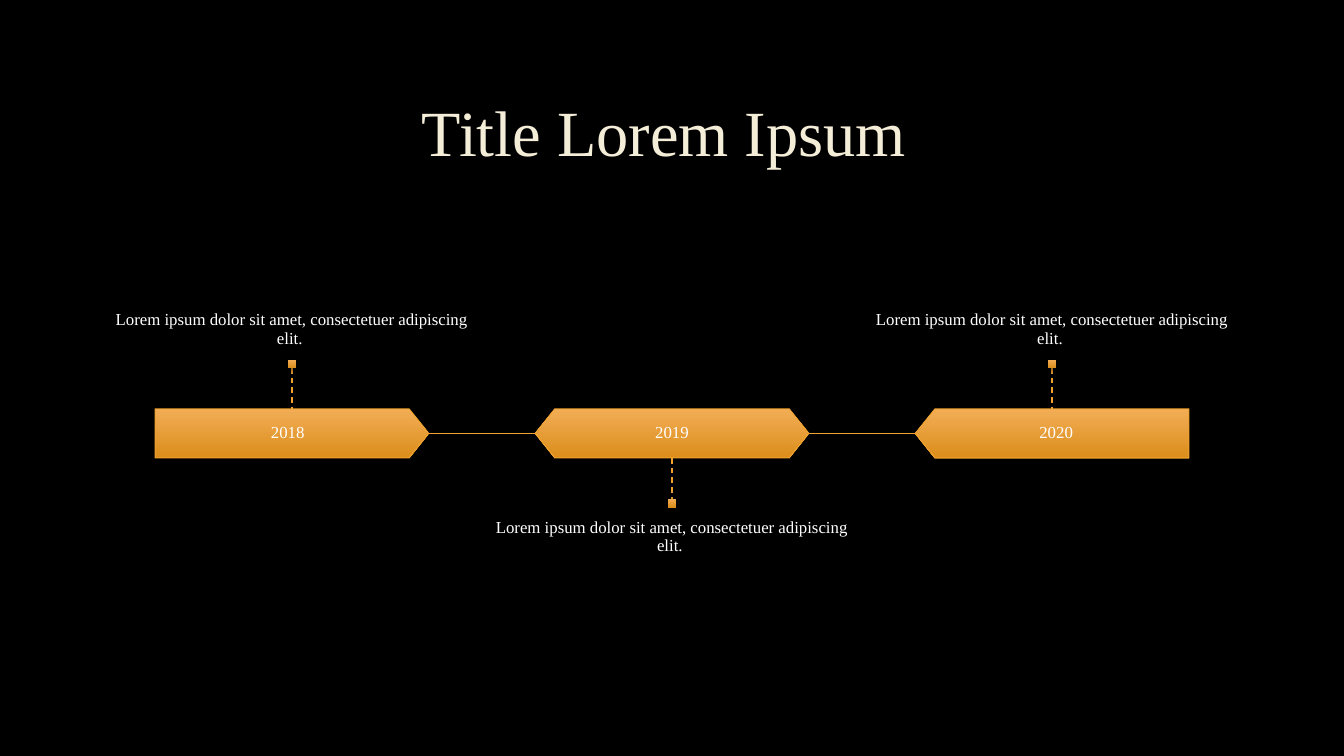
from dataclasses import dataclass

from lxml.etree import SubElement
from pptx import Presentation
from pptx.dml.color import RGBColor
from pptx.enum.dml import MSO_LINE
from pptx.enum.shapes import MSO_CONNECTOR, MSO_SHAPE
from pptx.enum.text import MSO_ANCHOR, PP_ALIGN
from pptx.oxml import parse_xml
from pptx.oxml.ns import nsdecls, qn
from pptx.util import Inches, Pt


@dataclass(frozen=True)
class Theme:
    """Colours, font and type sizes of the slide."""
    ground: str = "000000"
    title: str = "F4EDD8"
    text: str = "FFFFFF"
    accent: str = "F0A22E"
    gradient: tuple = ("F2AD56", "DB8E1B")
    outline: str = "404040"
    font: str = "Times New Roman"
    title_size: float = 46
    text_size: float = 12


@dataclass(frozen=True)
class Box:
    """A rectangle in inches."""
    left: float
    top: float
    width: float
    height: float

    def inner(self, left, top, width, height):
        """Return the inner box given as shares of this one."""
        return Box(self.left + left * self.width, self.top + top * self.height,
                   width * self.width, height * self.height)

    def emu(self):
        """Return the four lengths for python-pptx."""
        return [Inches(n) for n in (self.left, self.top, self.width, self.height)]


THEME = Theme()
SLIDE = Box(0, 0, 13.33, 7.5)
BLURB = "Lorem ipsum dolor sit amet, consectetuer adipiscing elit. "
ARROW_SHARE = 0.72
WIDE_LABEL = 0.97
MILESTONES = [
    ("2018", MSO_SHAPE.PENTAGON, 0, (0, 0, WIDE_LABEL, 1), True),
    ("2019", MSO_SHAPE.HEXAGON, 0, (0.11, 0.1, 0.78, 0.78), False),
    ("2020", MSO_SHAPE.PENTAGON, 180, (1 - WIDE_LABEL, 0, WIDE_LABEL, 1), True),
]


def colour(value):
    """Turn a hex string into a colour."""
    return RGBColor.from_string(value)


def add_text(page, box, words, size, tint, anchor, insets):
    """Add one centred paragraph and return its run."""
    shape = page.shapes.add_textbox(*box.emu())
    frame = shape.text_frame
    frame.word_wrap = True
    frame.vertical_anchor = anchor
    frame.margin_left = frame.margin_right = Inches(insets[0])
    frame.margin_top = frame.margin_bottom = Inches(insets[1])
    para = frame.paragraphs[0]
    para.alignment = PP_ALIGN.CENTER
    para.line_spacing = 0.9
    span = para.add_run()
    span.text = words
    span.font.name = THEME.font
    span.font.size = Pt(size)
    span.font.color.rgb = colour(tint)
    return span


def add_golden_shape(page, box, kind):
    """Add a preset shape with the golden gradient and a soft shadow."""
    shape = page.shapes.add_shape(kind, *box.emu())
    shape.fill.gradient()
    shape.fill.gradient_angle = 270
    for stop, tint in zip(shape.fill.gradient_stops, THEME.gradient):
        stop.color.rgb = colour(tint)
    properties = shape.element.spPr
    properties.find(qn("a:gradFill")).set("rotWithShape", "0")
    shape.line.fill.background()
    shape.shadow.inherit = False
    properties.find(qn("a:effectLst")).append(parse_xml(
        f'<a:outerShdw {nsdecls("a")} blurRad="{Pt(5)}" dist="{Pt(2)}" dir="5400000" '
        'rotWithShape="0"><a:srgbClr val="000000"><a:alpha val="60000"/></a:srgbClr>'
        '</a:outerShdw>'))
    return shape


def add_rule(page, start, end, width, dash=None):
    """Add a straight accent line between two points."""
    points = [Inches(n) for n in (*start, *end)]
    rule = page.shapes.add_connector(MSO_CONNECTOR.STRAIGHT, *points)
    rule.line.color.rgb = colour(THEME.accent)
    rule.line.width = Pt(width)
    if dash:
        rule.line.dash_style = dash
    SubElement(rule.element.spPr, qn("a:effectLst"))


def add_title(page, box):
    """Add the slide title with its faint outline."""
    span = add_text(page, box, "Title Lorem Ipsum ", THEME.title_size, THEME.title,
                    MSO_ANCHOR.MIDDLE, (0.1, 0.05))
    span._r.get_or_add_rPr().insert(0, parse_xml(
        f'<a:ln {nsdecls("a")} w="{Pt(0.75)}"><a:solidFill><a:srgbClr val="{THEME.outline}">'
        '<a:alpha val="10000"/></a:srgbClr></a:solidFill></a:ln>'))


def add_callout(page, lane, above):
    """Add the stem, marker and blurb above or below the lane's arrow."""
    callout_top, marker_top, stem_top = (0, 0.32, 0.34) if above else (0.68, 0.66, 0.56)
    add_text(page, lane.inner(0, callout_top, 1, 0.32), BLURB, THEME.text_size, THEME.text,
             MSO_ANCHOR.BOTTOM if above else MSO_ANCHOR.TOP, (0, 0.12))
    stem = lane.inner(0.5, stem_top, 0, 0.1)
    add_rule(page, (stem.left, stem.top), (stem.left, stem.top + stem.height),
             1, MSO_LINE.DASH)
    row = lane.inner(0.5, marker_top, 0, 0.02)
    side = row.height
    add_golden_shape(page, Box(row.left - side / 2, row.top, side, side), MSO_SHAPE.RECTANGLE)


def add_milestone(page, lane, year, kind, turn, label, above):
    """Add one year arrow with its label and callout."""
    box = lane.inner((1 - ARROW_SHARE) / 2, 0.44, ARROW_SHARE, 0.12)
    arrow = add_golden_shape(page, box, kind)
    arrow.adjustments[0] = 0.4
    arrow.rotation = turn
    arrow.line.color.rgb = colour(THEME.accent)
    arrow.line.width = Pt(0.75)
    add_text(page, box.inner(*label), year, THEME.text_size, THEME.text,
             MSO_ANCHOR.MIDDLE, (0.1, 0.1))
    add_callout(page, lane, above)


def add_timeline(page, box):
    """Add the milestones in equal lanes, joined by links."""
    share = 1 / len(MILESTONES)
    for index, milestone in enumerate(MILESTONES):
        lane = box.inner(index * share, 0, share, 1)
        add_milestone(page, lane, *milestone)
        if index:
            link = lane.inner((ARROW_SHARE - 1) / 2, 0.5, 1 - ARROW_SHARE, 0)
            add_rule(page, (link.left, link.top), (link.left + link.width, link.top), 0.75)


def main():
    """Build and save the deck."""
    deck = Presentation()
    deck.slide_width, deck.slide_height = Inches(SLIDE.width), Inches(SLIDE.height)
    page = deck.slides.add_slide(deck.slide_layouts[6])
    page.background.fill.solid()
    page.background.fill.fore_color.rgb = colour(THEME.ground)
    add_title(page, SLIDE.inner(0.075, 0.09, 0.85, 0.18))
    add_timeline(page, Box(1.01, 2.27, 11.31, 4.06))
    deck.save("out.pptx")


if __name__ == "__main__":
    main()
